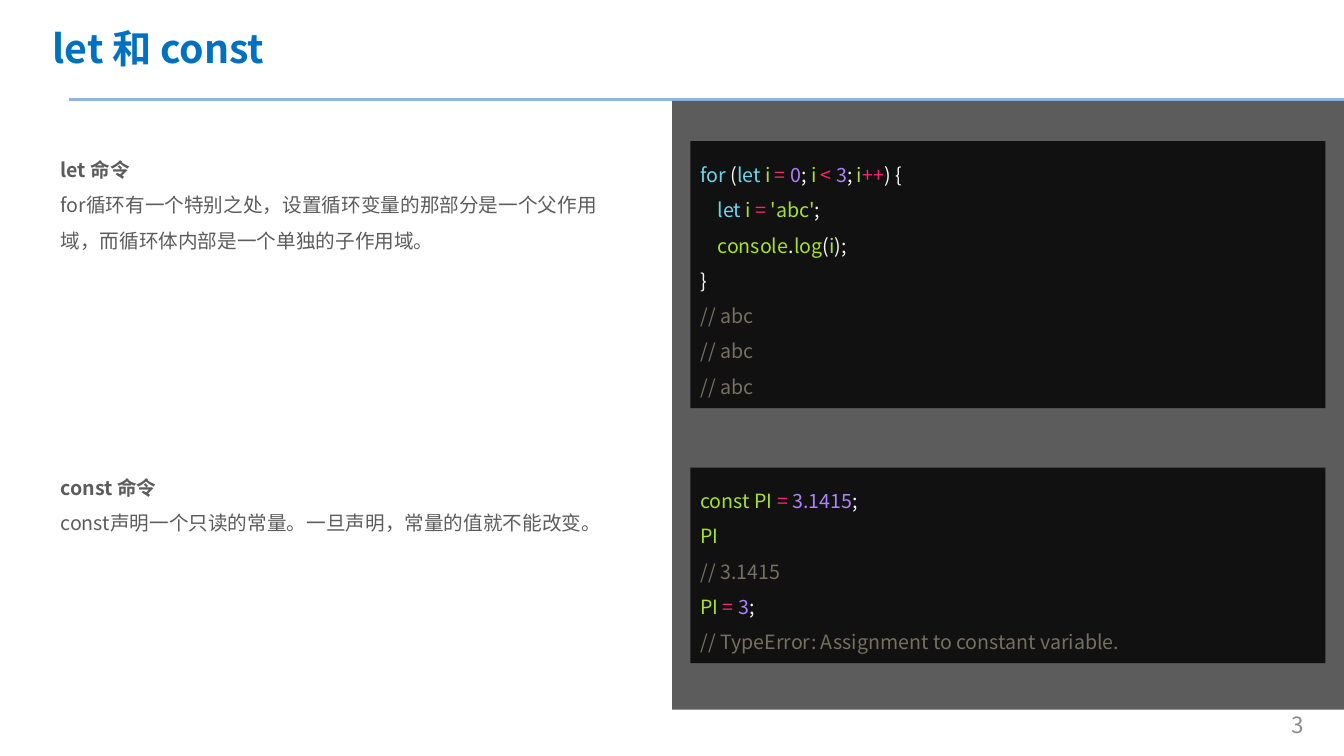
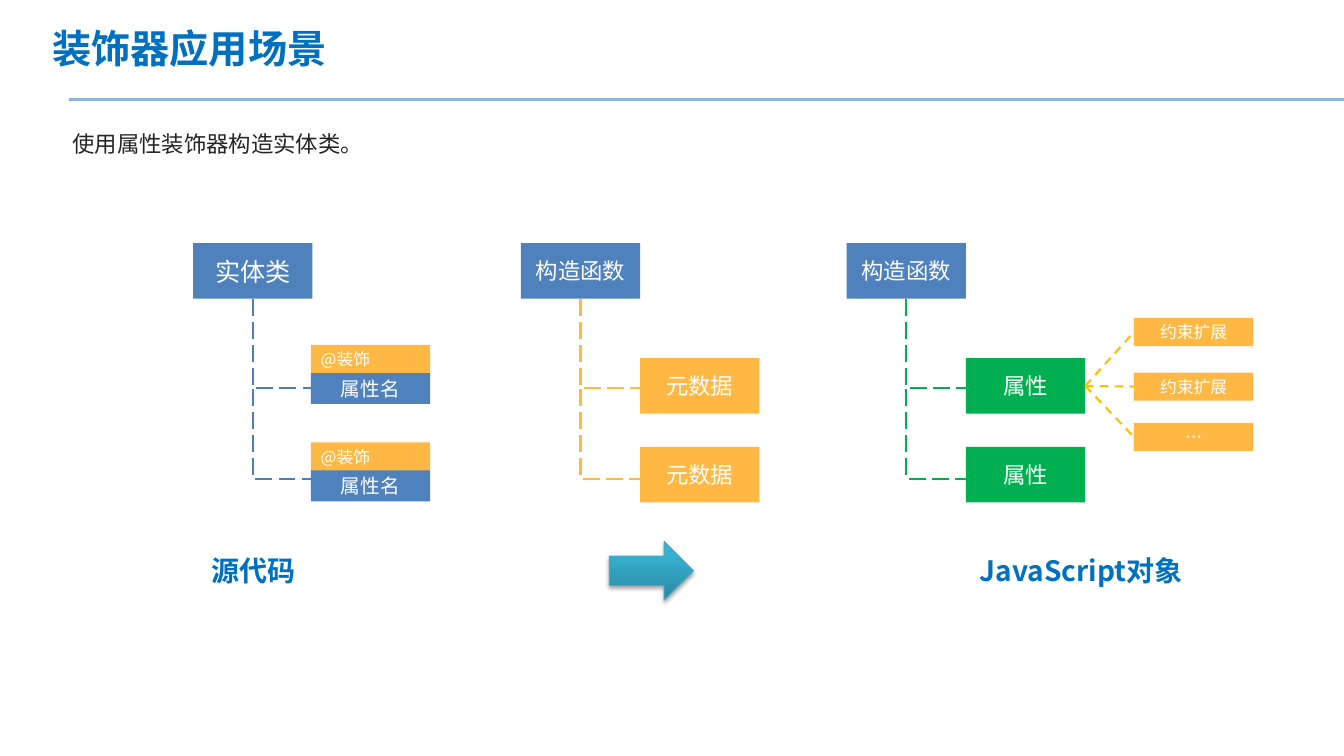
from dataclasses import dataclass

from lxml import etree
from pptx import Presentation
from pptx import util as u
from pptx.dml.color import RGBColor
from pptx.enum import dml, shapes, text
from pptx.oxml.ns import qn

CELL = u.Inches(13.33333) // 160
RECT = shapes.MSO_SHAPE.RECTANGLE
LEFT, CENTER = text.PP_ALIGN.LEFT, text.PP_ALIGN.CENTER
TOP, MIDDLE = text.MSO_ANCHOR.TOP, text.MSO_ANCHOR.MIDDLE


@dataclass(frozen=True)
class Theme:
    """Colours, type sizes and font shared by the slides."""
    font: str = "Noto Sans CJK SC"
    heading: str = "0070C0"
    rule: str = "8EB4E3"
    gray: str = "5C5C5C"
    number: str = "8C8C8C"
    ink: str = "242424"
    white: str = "FFFFFF"
    editor: str = "111111"
    blue: str = "4F81BD"
    blue_line: str = "4B7EBC"
    orange: str = "FFB844"
    green: str = "00B050"
    gold: str = "FFC000"
    arrow_dark: str = "2A88A2"
    arrow_light: str = "37B1D2"
    arrow_edge: str = "46AAC5"
    title_size: int = 28
    label_size: int = 20
    root_size: int = 18
    text_size: int = 16
    code_size: int = 14
    tag_size: int = 12
    leading: float = 1.8


T = Theme()
SYNTAX = {"key": "66D9EF", "name": "A6E22E", "op": "F92672",
          "num": "AE81FF", "mark": "F8F8F2", "note": "75715E"}

FOR_LOOP = [
    (0, [("key", "for "), ("mark", "("), ("key", "let"), ("name", " i "), ("op", "= "),
         ("num", "0"), ("mark", ";"), ("name", " i "), ("op", "< "), ("num", "3"),
         ("mark", ";"), ("name", " i"), ("op", "++"), ("mark", ") {")]),
    (1, [("key", "let"), ("name", " i "), ("op", "="), ("name", " 'abc'"), ("mark", ";")]),
    (1, [("name", "console"), ("mark", "."), ("name", "log"), ("mark", "("),
         ("name", "i"), ("mark", ");")]),
    (0, [("mark", "}")]),
] + [(0, [("note", "// abc")])] * 3

CONSTANT = [
    (0, [("name", "const PI "), ("op", "= "), ("num", "3.1415"), ("mark", ";")]),
    (0, [("name", "PI")]),
    (0, [("note", "// 3.1415")]),
    (0, [("name", "PI "), ("op", "= "), ("num", "3"), ("mark", ";")]),
    (0, [("note", "// TypeError: Assignment to constant variable.")]),
]


def rgb(color):
    """Turn a hex string into a colour."""
    return RGBColor.from_string(color)


def cells(*counts):
    """Turn grid counts into lengths."""
    return [u.Emu(round(count * CELL)) for count in counts]


def assign(target, values):
    """Set every attribute listed in a dict."""
    for key, value in values.items():
        setattr(target, key, value)


def place(part, at):
    """Move a placeholder to a grid box."""
    assign(part, dict(zip(("left", "top", "width", "height"), cells(*at))))


def write(paragraph, words, size, color, bold=False):
    """Add one formatted run to a paragraph."""
    run = paragraph.add_run()
    run.text = words
    assign(run.font, {"size": u.Pt(size), "bold": bold, "name": T.font})
    run.font.color.rgb = rgb(color)
    etree.SubElement(run.font._element, qn("a:ea"), typeface=T.font)


def frame(part, anchor=MIDDLE, **values):
    """Prepare the text frame of a shape and return it."""
    assign(part.text_frame, {"word_wrap": True, "auto_size": text.MSO_AUTO_SIZE.NONE,
                             "vertical_anchor": anchor, **values})
    return part.text_frame


def line_of(text_frame, index, size, before=0, indent=0):
    """Return a spaced, unbulleted paragraph of a frame."""
    paragraph = text_frame.add_paragraph() if index else text_frame.paragraphs[0]
    assign(paragraph, {"alignment": LEFT, "line_spacing": u.Pt(size * T.leading),
                       "space_before": u.Pt(before), "space_after": u.Pt(0)})
    properties = paragraph._p.get_or_add_pPr()
    properties.set("marL", str(u.Inches(indent)))
    properties.set("indent", "0")
    etree.SubElement(properties, qn("a:buNone"))
    return paragraph


def block(slide, at, fill, words="", size=T.text_size, align=CENTER):
    """Draw a flat rectangle with an optional label."""
    part = slide.shapes.add_shape(RECT, *cells(*at))
    part.shadow.inherit = False
    part.fill.solid()
    part.fill.fore_color.rgb = rgb(fill)
    part.line.fill.background()
    if words:
        paragraph = frame(part).paragraphs[0]
        paragraph.alignment = align
        write(paragraph, words, size, T.white)
    return part


def label(slide, at, words, size, color, bold=False):
    """Draw centred text without a box."""
    paragraph = frame(slide.shapes.add_textbox(*cells(*at))).paragraphs[0]
    paragraph.alignment = CENTER
    write(paragraph, words, size, color, bold)


def connect(slide, ends, color, weight=1.5, dash=None, kind=shapes.MSO_CONNECTOR.STRAIGHT):
    """Draw a connector without a shadow."""
    link = slide.shapes.add_connector(kind, *cells(*ends))
    link.line.color.rgb = rgb(color)
    assign(link.line, {"width": u.Pt(weight), "dash_style": dash})
    etree.SubElement(link.element.spPr, qn("a:effectLst"))
    return link


def elbow(slide, x1, y1, x2, y2, color):
    """Draw a dashed line that goes down and then right."""
    drop, reach = y2 - y1, x2 - x1
    left, top = (x1 + x2 - drop) / 2, (y1 + y2 - reach) / 2
    link = connect(slide, (left + drop, top, left, top + reach), color,
                   dash=dml.MSO_LINE.LONG_DASH, kind=shapes.MSO_CONNECTOR.ELBOW)
    link.element.spPr.find(qn("a:xfrm")).set("rot", "16200000")
    link.element.spPr.find(qn("a:prstGeom")).set("prst", "bentConnector2")


def code(slide, at, lines):
    """Draw an editor box with coloured code."""
    inset = {"margin_top": u.Inches(0.09), "margin_bottom": u.Inches(0.09)}
    editor = frame(block(slide, at, T.editor), **inset)
    for index, (depth, tokens) in enumerate(lines):
        paragraph = line_of(editor, index, T.code_size, indent=0.17 * depth)
        for role, words in tokens:
            write(paragraph, words, T.code_size, SYNTAX[role])


def tree(slide, root_x, branch_x, words, size, color):
    """Draw a root box with two dashed branches."""
    block(slide, (root_x, 28.95, 14.2, 6.6), T.blue, words, size)
    stem = root_x + 7.1
    for row in range(2):
        elbow(slide, stem, 35.6 + 10.7 * row, branch_x, 46.2 + 10.8 * row, color)


def leaves(slide, x, words, color):
    """Draw the two boxes at the ends of a tree."""
    return [block(slide, (x, y, 14.2, 6.6), color, words) for y in (42.65, 53.2)]


def big_arrow(slide, at):
    """Draw the shaded arrow between the stages."""
    arrow = slide.shapes.add_shape(shapes.MSO_SHAPE.RIGHT_ARROW, *cells(*at))
    arrow.shadow.inherit = False
    arrow.fill.gradient()
    arrow.fill.gradient_angle = 90
    stops = zip(arrow.fill.gradient_stops, (0, 0.8), (T.arrow_dark, T.arrow_light))
    for stop, position, color in stops:
        stop.position = position
        stop.color.rgb = rgb(color)
    arrow.line.color.rgb = rgb(T.arrow_edge)
    arrow.line.width = u.Pt(0.75)
    effects = arrow.element.spPr.find(qn("a:effectLst"))
    shade = etree.SubElement(effects, qn("a:outerShdw"), blurRad=str(u.Pt(3.1)),
                             dist=str(u.Pt(1.8)), dir="5400000", rotWithShape="0")
    black = etree.SubElement(shade, qn("a:srgbClr"), val="000000")
    etree.SubElement(black, qn("a:alpha"), val="35000")


def new_slide(prs, title, body_at):
    """Add a slide with its title and return it with its body."""
    slide = prs.slides.add_slide(prs.slide_layouts[1])
    heading, body = slide.shapes.title, slide.placeholders[1]
    place(heading, (5.04, 0, 147, 11.28))
    place(body, body_at)
    paragraph = frame(heading).paragraphs[0]
    paragraph.alignment = LEFT
    write(paragraph, title, T.title_size, T.heading, True)
    return slide, body


def add_master_rule(prs, slide):
    """Put the line under the titles on the master."""
    rule = connect(slide, (8.16, 11.88, 160, 11.88), T.rule, 2.25)
    rule.element.nvCxnSpPr.cNvPr.set("id", "20")
    prs.slide_master.shapes.element.append(rule.element)


def let_and_const(prs):
    """Build the slide about let and const."""
    slide, body = new_slide(prs, "let 和 const", (6, 16.8, 67.2, 47.88))
    add_master_rule(prs, slide)
    notes = frame(body, TOP)
    gap = 6 * T.code_size * T.leading
    commands = [
        ("let 命令", True, 0),
        ("for循环有一个特别之处，设置循环变量的那部分是一个父作用域，而循环体内部是一个单独的子作用域。", False, 0),
        ("const 命令", True, gap),
        ("const声明一个只读的常量。一旦声明，常量的值就不能改变。", False, 0),
    ]
    for index, (words, bold, before) in enumerate(commands):
        paragraph = line_of(notes, index, T.code_size, before)
        write(paragraph, words, T.code_size, T.gray, bold)
    label(slide, (151.56, 83.76, 5.76, 5.04), "3", T.text_size, T.number)
    block(slide, (80, 12, 80, 72.5), T.gray)
    code(slide, (82.2, 16.8, 75.6, 31.8), FOR_LOOP)
    code(slide, (82.2, 55.68, 75.6, 23.28), CONSTANT)


def decorators(prs):
    """Build the slide about uses of decorators."""
    slide, body = new_slide(prs, "装饰器应用场景", (6.96, 13.32, 151.2, 6))
    intro = line_of(frame(body, margin_left=u.Inches(0.14)), 0, T.text_size)
    write(intro, "使用属性装饰器构造实体类。", T.text_size, T.ink)

    tree(slide, 23, 37, "实体类", T.root_size, T.blue_line)
    for y in (41.05, 52.65):
        block(slide, (37, y + 3.3, 14.2, 3.75), T.blue, "属性名", T.code_size)
        block(slide, (37, y, 14.2, 3.35), T.orange, "@装饰", T.tag_size, LEFT)

    tree(slide, 62, 76.2, "构造函数", T.text_size, T.orange)
    leaves(slide, 76.2, "元数据", T.orange)

    tree(slide, 100.8, 115, "构造函数", T.text_size, T.green)
    attribute = leaves(slide, 115, "属性", T.green)[0]
    for y, words in ((37.85, "约束扩展"), (44.35, "约束扩展"), (50.35, "…")):
        extension = block(slide, (135, y, 14.2, 3.35), T.orange, words, T.tag_size)
        link = connect(slide, (129.2, 45.95, 135, y), T.gold, dash=dml.MSO_LINE.DASH)
        link.begin_connect(attribute, 3)
        link.end_connect(extension, 1)

    for x, words in ((16.44, "源代码"), (115, "JavaScript对象")):
        label(slide, (x, 65, 27.4, 5.9), words, T.label_size, T.heading, True)
    big_arrow(slide, (72.55, 64.45, 10, 7))


def main():
    """Build and save the presentation."""
    prs = Presentation()
    assign(prs, {"slide_width": 160 * CELL, "slide_height": 90 * CELL})
    let_and_const(prs)
    decorators(prs)
    prs.save("out.pptx")


if __name__ == "__main__":
    main()
